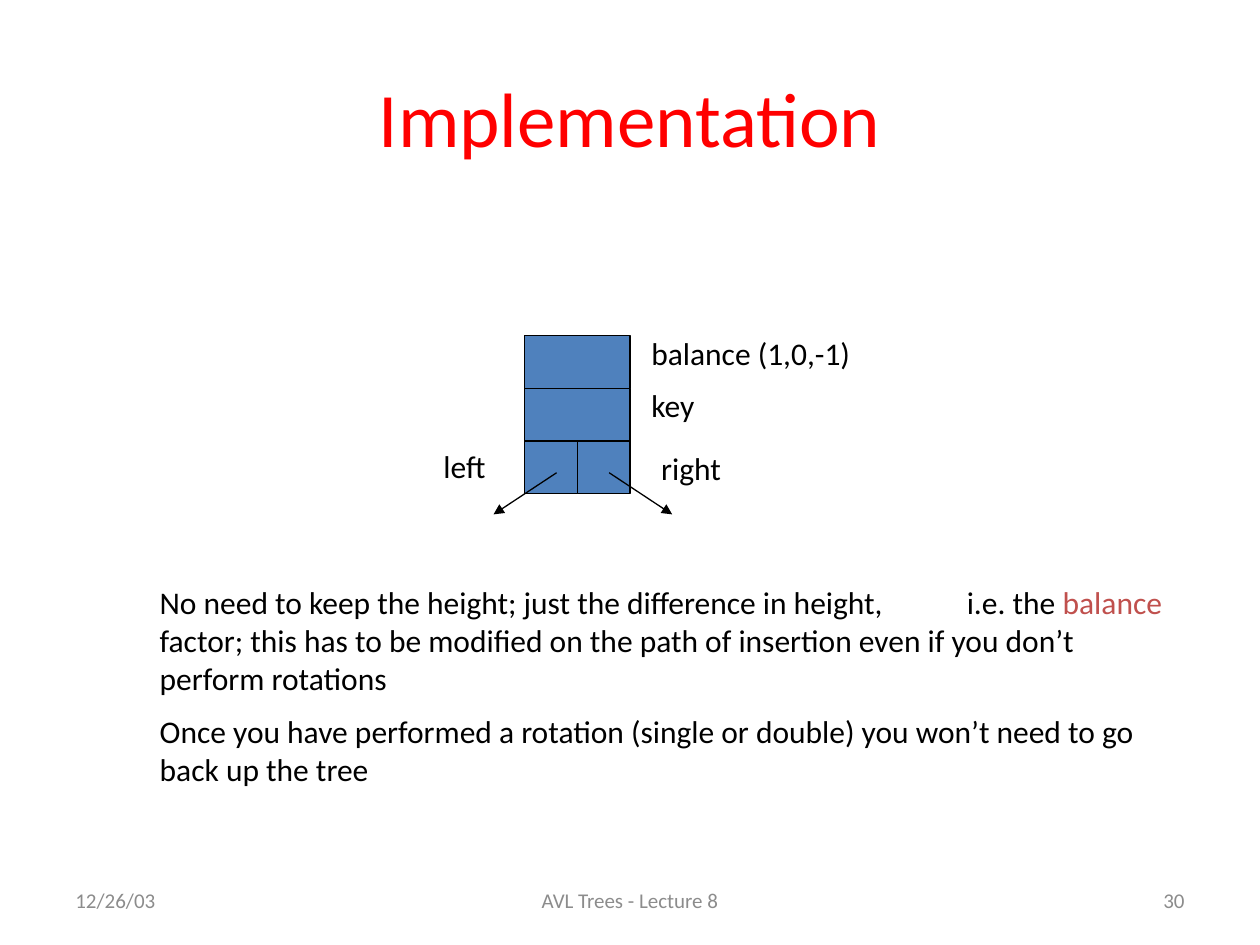
"""Build a slide on how an AVL tree node is implemented."""
import lxml.etree
import pptx
import pptx.dml.color
import pptx.enum.shapes
import pptx.enum.text
import pptx.oxml.ns
import pptx.util

Cm = pptx.util.Cm
Pt = pptx.util.Pt
Align = pptx.enum.text.PP_ALIGN
Anchor = pptx.enum.text.MSO_ANCHOR


def color(value):
    return pptx.dml.color.RGBColor.from_string(value)


def add_xml(parent, tag, **attributes):
    return lxml.etree.SubElement(parent, pptx.oxml.ns.qn(tag), **attributes)


class SlideBuilder:
    font = "Calibri"
    black, red, gray = "000000", "FF0000", "8C8C8C"
    blue, accent = "4F81BD", "C0504D"
    line_width = Pt(0.75)

    def __init__(self, slide):
        self.slide = slide

    def run(self, paragraph, text, size=18, ink=black):
        run = paragraph.add_run()
        run.text = text
        run.font.name = self.font
        run.font.size = Pt(size)
        run.font.color.rgb = color(ink)

    def title(self, text, left, top, width, height):
        shape = self.slide.shapes.title
        shape.left, shape.top = Cm(left), Cm(top)
        shape.width, shape.height = Cm(width), Cm(height)
        shape.text_frame.vertical_anchor = Anchor.MIDDLE
        paragraph = shape.text_frame.paragraphs[0]
        paragraph.alignment = Align.CENTER
        self.run(paragraph, text, 44, self.red)

    def text_box(self, left, top, width, height, wrap=True):
        shape = self.slide.shapes.add_textbox(Cm(left), Cm(top), Cm(width), Cm(height))
        shape.text_frame.word_wrap = wrap
        return shape.text_frame

    def label(self, text, left, top, width):
        frame = self.text_box(left, top, width, 1.09, wrap=False)
        frame.auto_size = pptx.enum.text.MSO_AUTO_SIZE.SHAPE_TO_FIT_TEXT
        self.run(frame.paragraphs[0], text)

    def footer(self, text, left, width, alignment):
        frame = self.text_box(left, 17.65, width, 1.01)
        frame.vertical_anchor = Anchor.MIDDLE
        frame.paragraphs[0].alignment = alignment
        self.run(frame.paragraphs[0], text, 12, self.gray)

    def body(self, paragraphs, left, top, width, height, tab):
        frame = self.text_box(left, top, width, height)
        for index, runs in enumerate(paragraphs):
            paragraph = frame.add_paragraph() if index else frame.paragraphs[0]
            paragraph.space_before = Pt(9 if index else 0)
            tabs = add_xml(paragraph._p.get_or_add_pPr(), "a:tabLst")
            add_xml(tabs, "a:tab", pos=str(Cm(tab)), algn="l")
            for text, ink in runs:
                self.run(paragraph, text, ink=ink)

    def cell(self, left, top, width, height):
        shape = self.slide.shapes.add_shape(
            pptx.enum.shapes.MSO_SHAPE.RECTANGLE, Cm(left), Cm(top), Cm(width), Cm(height))
        shape.shadow.inherit = False
        shape.fill.solid()
        shape.fill.fore_color.rgb = color(self.blue)
        shape.line.color.rgb = color(self.black)
        shape.line.width = self.line_width

    def arrow(self, x1, y1, x2, y2):
        connector = self.slide.shapes.add_connector(
            pptx.enum.shapes.MSO_CONNECTOR.STRAIGHT, Cm(x1), Cm(y1), Cm(x2), Cm(y2))
        connector.line.color.rgb = color(self.black)
        connector.line.width = self.line_width
        add_xml(connector.line._get_or_add_ln(), "a:tailEnd", type="triangle")
        add_xml(connector._element.spPr, "a:effectLst")


def main():
    presentation = pptx.Presentation()
    presentation.slide_width, presentation.slide_height = Cm(25.4), Cm(19.05)
    slide = presentation.slides.add_slide(presentation.slide_layouts[5])
    builder = SlideBuilder(slide)

    builder.footer("12/26/03", 1.27, 5.93, Align.LEFT)
    builder.footer("AVL Trees - Lecture 8", 8.68, 8.04, Align.CENTER)
    builder.footer("30", 18.2, 5.93, Align.RIGHT)
    builder.title("Implementation", 1.27, 0.76, 22.86, 3.18)

    left, top, unit = 10.58, 6.77, 1.06
    for row in range(2):
        builder.cell(left, top + row * unit, 2 * unit, unit)
    for column in range(2):
        builder.cell(left + column * unit, top + 2 * unit, unit, unit)
    for side in (-1, 1):
        builder.arrow(11.75 + side * 0.53, 9.53, 11.75 + side * 1.8, 10.37)

    for text, label_left, label_top, width in (
        ("balance (1,0,-1)", 12.88, 6.6, 5.44),
        ("key", 12.88, 7.65, 1.6),
        ("right", 13.08, 8.92, 1.88),
        ("left", 8.69, 8.89, 1.45),
    ):
        builder.label(text, label_left, label_top, width)

    builder.body([
        [("No need to keep the height; just the difference in height,\ti.e. the ", builder.black),
         ("balance", builder.accent),
         (" factor; this has to be modified on the path of insertion "
          "even if you don’t perform rotations", builder.black)],
        [("Once you have performed a rotation (single or double) "
          "you won’t need to go back up the tree", builder.black)],
    ], 2.97, 11.63, 20.96, 4.9, tab=16.27)

    presentation.save("out.pptx")


if __name__ == "__main__":
    main()
